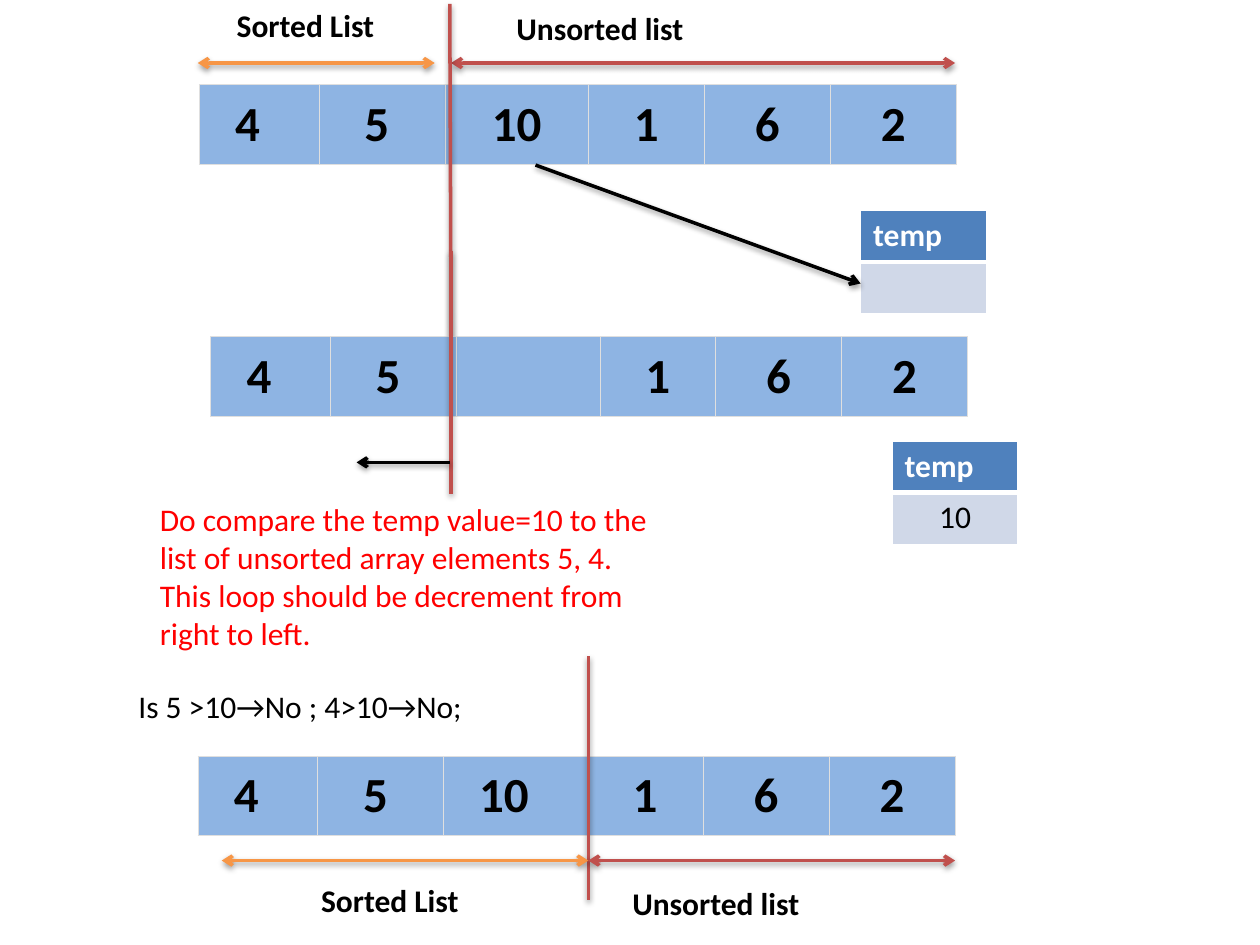
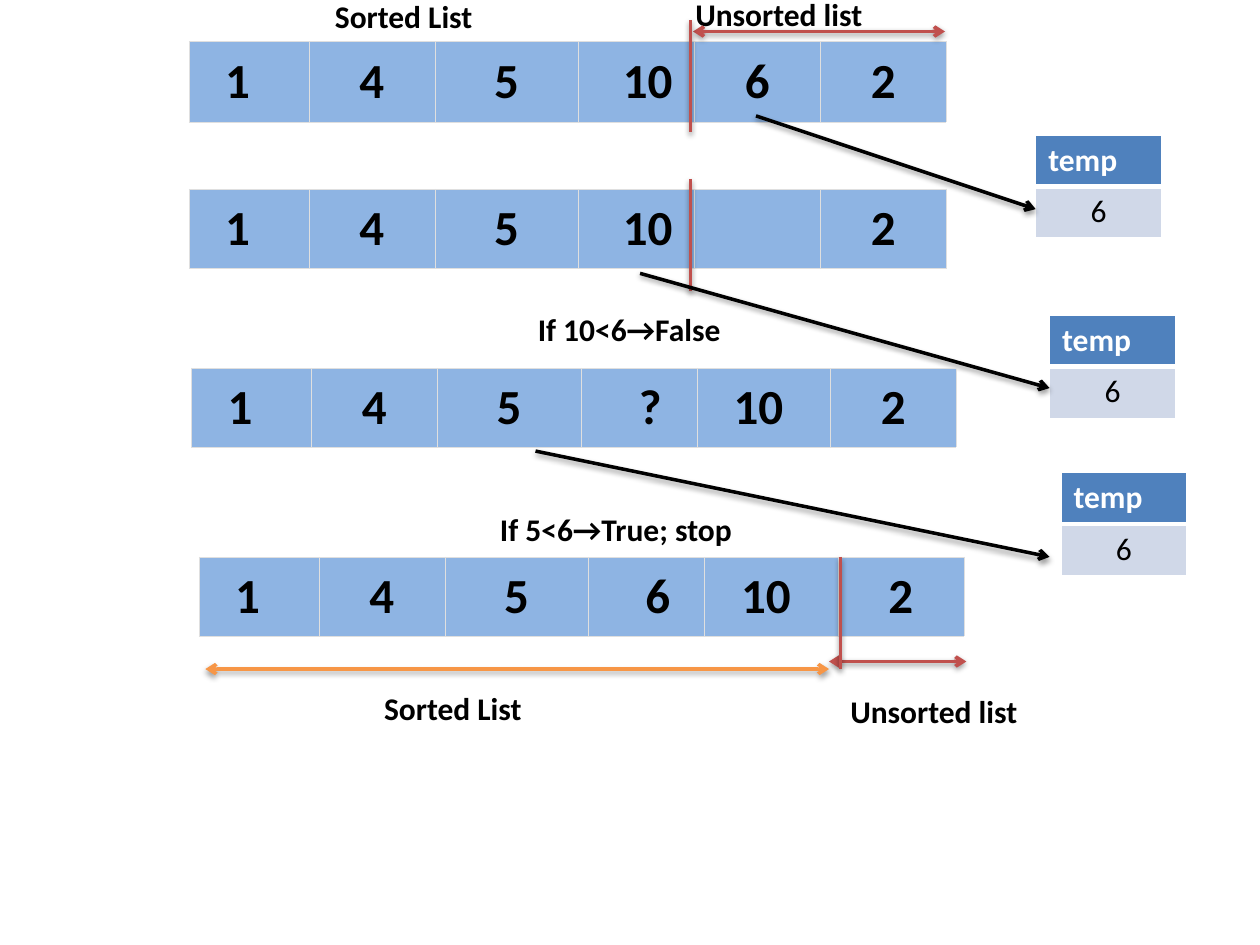
from lxml import etree
from pptx import Presentation
from pptx.dml.color import RGBColor
from pptx.enum import text as tx
from pptx.enum import shapes as sh
from pptx.oxml.ns import qn
from pptx.util import Inches, Pt

FONT = "Calibri"
BLACK, WHITE, RED = "000000", "FFFFFF", "FF0000"
SORTED, UNSORTED = "F79646", "C0504D"
CELL, CELL_EDGE = "8EB4E3", "DFDFDF"
TEMP_HEAD, TEMP_BODY = "4F81BD", "D0D8E8"

# Column widths of the array, and of the array after a shift
COLUMNS = [0.95, 1, 1.14, 0.92, 1, 1]
SHIFTED_COLUMNS = [0.95, 1, 1.14, 0.92, 1.06, 1]
ROW_HEIGHT, TEMP_ROW = 0.63, 0.41

# Sideways offset of each number from the middle of its cell
FIRST_PASS = [-0.09, -0.04, 0, 0, 0, 0]
FIRST_RESULT = [-0.09, -0.04, -0.09, 0, 0, 0]
LATER_PASS = [-0.09, 0, 0, 0.09, 0, 0]
LATER_SHIFT = [-0.09, 0, 0, 0.09, -0.04, 0]


def color(hex_value):
    return RGBColor.from_string(hex_value)


def style(paragraph, size, hex_value, bold):
    for run in paragraph.runs:
        run.font.name = FONT
        run.font.size = Pt(size)
        run.font.bold = bold
        run.font.color.rgb = color(hex_value)


def fill_cell(cell, hex_value):
    cell.fill.solid()
    cell.fill.fore_color.rgb = color(hex_value)


def border_cell(cell, hex_value, width, bottom=None):
    properties = cell._tc.get_or_add_tcPr()
    for index, side in enumerate(("lnL", "lnR", "lnT", "lnB")):
        points = bottom if bottom and side == "lnB" else width
        edge = etree.Element(qn("a:" + side), w=str(Pt(points)))
        solid = etree.SubElement(edge, qn("a:solidFill"))
        etree.SubElement(solid, qn("a:srgbClr"), val=hex_value)
        properties.insert(index, edge)


def add_array(slide, left, top, numbers, offsets, columns=COLUMNS):
    array = slide.shapes.add_table(
        1, len(columns), Inches(left), Inches(top),
        Inches(sum(columns)), Inches(ROW_HEIGHT)).table
    for index, (number, offset, width) in enumerate(zip(numbers, offsets, columns)):
        array.columns[index].width = Inches(width)
        cell = array.cell(0, index)
        cell.vertical_anchor = tx.MSO_ANCHOR.MIDDLE
        cell.margin_top = cell.margin_bottom = Inches(0.08)
        cell.margin_left = Inches(0.08 + max(2 * offset, 0))
        cell.margin_right = Inches(0.08 + max(-2 * offset, 0))
        paragraph = cell.text_frame.paragraphs[0]
        paragraph.text = number
        paragraph.alignment = tx.PP_ALIGN.CENTER
        style(paragraph, 28, BLACK, True)
        fill_cell(cell, CELL)
        border_cell(cell, CELL_EDGE, 0.18)


def add_temp(slide, left, top, value):
    temp = slide.shapes.add_table(
        2, 1, Inches(left), Inches(top), Inches(1), Inches(2 * TEMP_ROW)).table
    for row in temp.rows:
        row.height = Inches(TEMP_ROW)
    head, body = temp.cell(0, 0), temp.cell(1, 0)
    head.text_frame.text = "temp"
    style(head.text_frame.paragraphs[0], 18, WHITE, True)
    fill_cell(head, TEMP_HEAD)
    border_cell(head, WHITE, 1, bottom=3)

    body.text_frame.text = value
    body.text_frame.paragraphs[0].alignment = tx.PP_ALIGN.CENTER
    style(body.text_frame.paragraphs[0], 18, BLACK, False)
    fill_cell(body, TEMP_BODY)
    border_cell(body, WHITE, 1)


def add_line(slide, start, end, hex_value, arrows=()):
    line = slide.shapes.add_connector(
        sh.MSO_CONNECTOR.STRAIGHT, *map(Inches, start + end))
    line.line.color.rgb = color(hex_value)
    line.line.width = Pt(2)
    outline = line.line._get_or_add_ln()
    for arrow in arrows:
        etree.SubElement(outline, qn("a:" + arrow), type="arrow")
    # Soft shadow straight below the line
    effects = etree.SubElement(line._element.spPr, qn("a:effectLst"))
    shadow = etree.SubElement(effects, qn("a:outerShdw"), blurRad="40000",
                              dist="20000", dir="5400000", rotWithShape="0")
    shade = etree.SubElement(shadow, qn("a:srgbClr"), val=BLACK)
    etree.SubElement(shade, qn("a:alpha"), val="38000")


def add_divider(slide, start, end):
    add_line(slide, start, end, UNSORTED)


def add_pointer(slide, start, end):
    add_line(slide, start, end, BLACK, ["tailEnd"])


def add_span(slide, left, right, y, hex_value):
    add_line(slide, (left, y), (right, y), hex_value, ["headEnd", "tailEnd"])


def add_label(slide, left, top, width, words, height=0.4,
              hex_value=BLACK, bold=True, wrap=True):
    frame = slide.shapes.add_textbox(
        Inches(left), Inches(top), Inches(width), Inches(height)).text_frame
    frame.word_wrap = wrap
    frame.auto_size = tx.MSO_AUTO_SIZE.SHAPE_TO_FIT_TEXT
    frame.text = words
    style(frame.paragraphs[0], 18, hex_value, bold)


def build_first_pass(slide):
    # Element 10 moves to temp
    add_array(slide, 1.58, 0.67, ["4", "5", "10", "1", "6", "2"], FIRST_PASS)
    add_span(slide, 1.57, 3.45, 0.5, SORTED)
    add_span(slide, 3.58, 7.58, 0.5, UNSORTED)
    add_label(slide, 1.78, 0, 1.42, "Sorted List")
    add_label(slide, 4, 0.02, 3.17, "Unsorted list")
    add_temp(slide, 6.83, 1.67, "")
    add_divider(slide, (3.57, 0.03), (3.58, 2.67))
    add_pointer(slide, (4.25, 1.31), (6.83, 2.25))

    # Comparison from right to left
    add_array(slide, 1.67, 2.67, ["4", "5", "", "1", "6", "2"], FIRST_PASS)
    add_temp(slide, 7.08, 3.5, "10")
    add_label(slide, 1.17, 3.92, 4.25,
              "Do compare the temp value=10 to the list of unsorted array "
              "elements 5, 4. This loop should be decrement from right to left.",
              height=1.31, hex_value=RED, bold=False)
    add_divider(slide, (3.58, 1.99), (3.58, 3.92))
    add_pointer(slide, (3.57, 3.67), (2.83, 3.67))
    add_label(slide, 1, 5.4, 4.25, "Is 5 >10→No ; 4>10→No;", bold=False)

    # Result
    add_array(slide, 1.57, 6, ["4", "5", "10", "1", "6", "2"], FIRST_RESULT)
    add_divider(slide, (4.67, 5.21), (4.67, 7.14))
    add_span(slide, 1.76, 4.67, 6.83, SORTED)
    add_span(slide, 4.67, 7.58, 6.83, UNSORTED)
    add_label(slide, 2.45, 6.94, 1.3, "Sorted List", wrap=False)
    add_label(slide, 4.92, 6.97, 3.17, "Unsorted list")


def build_later_pass(slide):
    # Element 6 moves to temp
    add_array(slide, 1.5, 0.33, ["1", "4", "5", "10", "6", "2"], LATER_PASS)
    add_label(slide, 5.42, -0.09, 1.54, "Unsorted list", wrap=False)
    add_label(slide, 2.56, -0.07, 1.3, "Sorted List", wrap=False)
    add_span(slide, 5.5, 7.5, 0.25, UNSORTED)
    add_divider(slide, (5.48, 0.16), (5.48, 1.05))
    add_temp(slide, 8.22, 1.07, "6")
    add_pointer(slide, (6, 0.92), (8.22, 1.66))

    # Comparison with 10
    add_array(slide, 1.5, 1.5, ["1", "4", "5", "10", "", "2"], LATER_PASS)
    add_divider(slide, (5.48, 1.42), (5.48, 2.31))
    add_temp(slide, 8.33, 2.5, "6")
    add_pointer(slide, (5.08, 2.17), (8.33, 3.08))
    add_label(slide, 4.17, 2.41, 1.83, "If 10<6→False")

    # Comparison with 5
    add_array(slide, 1.52, 2.92, ["1", "4", "5", "?", "10", "2"],
              LATER_SHIFT, SHIFTED_COLUMNS)
    add_temp(slide, 8.42, 3.75, "6")
    add_pointer(slide, (4.25, 3.58), (8.33, 4.42))
    add_label(slide, 3.87, 4, 2.13, "If 5<6→True; stop")

    # Result
    add_array(slide, 1.58, 4.42, ["1", "4", "5", "6", "10", "2"],
              LATER_SHIFT, SHIFTED_COLUMNS)
    add_span(slide, 6.58, 7.67, 5.25, UNSORTED)
    add_divider(slide, (6.67, 4.42), (6.67, 5.31))
    add_span(slide, 1.63, 6.58, 5.31, SORTED)
    add_label(slide, 2.95, 5.42, 1.3, "Sorted List", wrap=False)
    add_label(slide, 6.65, 5.44, 1.54, "Unsorted list", wrap=False)


def main():
    deck = Presentation()
    deck.slide_width, deck.slide_height = Inches(10), Inches(7.5)
    for build in (build_first_pass, build_later_pass):
        build(deck.slides.add_slide(deck.slide_layouts[6]))
    deck.save("out.pptx")


if __name__ == "__main__":
    main()
